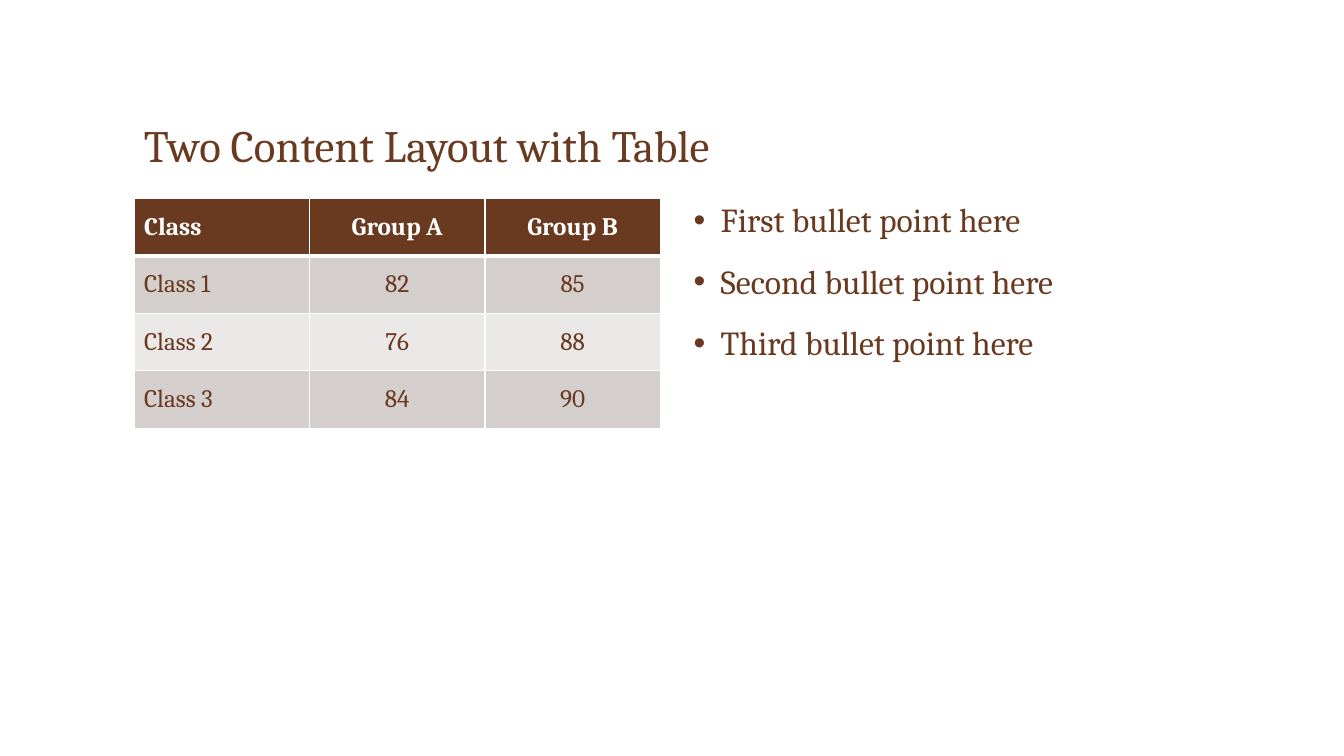
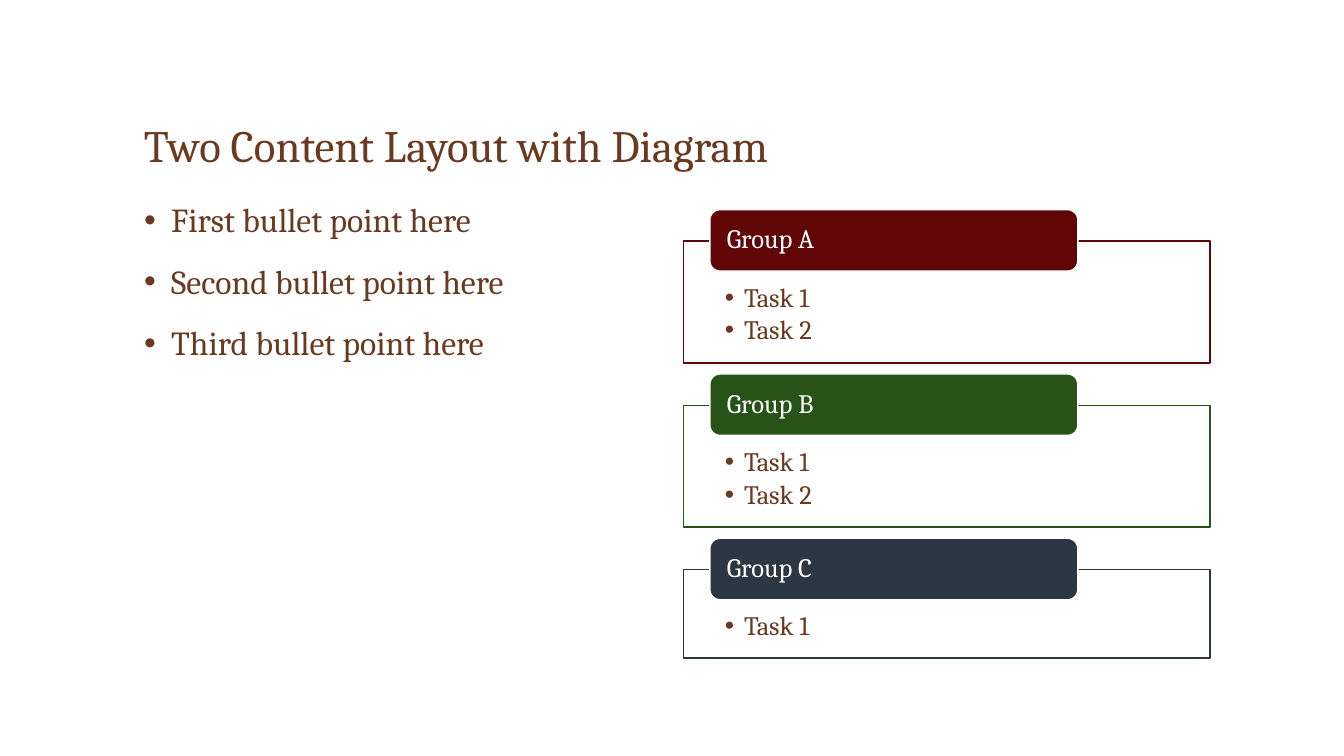
from dataclasses import dataclass

from lxml import etree
from pptx import Presentation
from pptx.dml.color import RGBColor
from pptx.enum.shapes import MSO_SHAPE
from pptx.enum.text import MSO_ANCHOR, PP_ALIGN
from pptx.oxml.ns import qn
from pptx.util import Inches, Pt


@dataclass(frozen=True)
class Theme:
    font: str = "Cambria"
    brown: str = "6A3A20"
    white: str = "FFFFFF"
    band_dark: str = "D4CECD"
    band_light: str = "EBE8E8"
    red: str = "610606"
    green: str = "275218"
    slate: str = "2B3742"
    title_size: int = 32
    bullet_size: int = 24
    table_size: int = 18
    diagram_size: int = 19


THEME = Theme()
LEFT, RIGHT, CONTENT_TOP = 1.33, 6.78, 1.97
COLUMN_WIDTH, CONTENT_HEIGHT = 5.22, 4.67
BULLETS = ("First bullet point here", "Second bullet point here", "Third bullet point here")
SCORES = (
    ("Class", "Group A", "Group B"),
    ("Class 1", "82", "85"),
    ("Class 2", "76", "88"),
    ("Class 3", "84", "90"),
)
GROUPS = (
    ("Group A", ("Task 1", "Task 2"), THEME.red),
    ("Group B", ("Task 1", "Task 2"), THEME.green),
    ("Group C", ("Task 1",), THEME.slate),
)


def add_run(paragraph, text, size, color, bold=False):
    run = paragraph.add_run()
    run.text = text
    run.font.name = THEME.font
    run.font.size = Pt(size)
    run.font.bold = bold
    run.font.color.rgb = RGBColor.from_string(color)


def add_color(parent, tag, color):
    """Append an XML element that holds one RGB colour."""
    holder = etree.SubElement(parent, qn(tag))
    return etree.SubElement(holder, qn("a:srgbClr"), val=color)


def set_bullet(paragraph, indent):
    properties = paragraph._p.get_or_add_pPr()
    properties.set("marL", str(Inches(indent)))
    properties.set("indent", str(-Inches(indent)))
    add_color(properties, "a:buClr", THEME.brown)
    etree.SubElement(properties, qn("a:buFont"), typeface="Arial")
    etree.SubElement(properties, qn("a:buChar"), char="•")


def write_bullets(frame, lines, size, indent, before=0, after=0):
    for index, line in enumerate(lines):
        paragraph = frame.add_paragraph() if index else frame.paragraphs[0]
        paragraph.alignment = PP_ALIGN.LEFT
        paragraph.line_spacing = 0.9
        paragraph.space_before = Pt(before)
        paragraph.space_after = Pt(after)
        set_bullet(paragraph, indent)
        add_run(paragraph, line, size, THEME.brown)


def add_text_frame(slide, left, top, width, height):
    box = slide.shapes.add_textbox(Inches(left), Inches(top), Inches(width), Inches(height))
    box.text_frame.word_wrap = True
    return box.text_frame


def add_titled_slide(deck, title):
    slide = deck.slides.add_slide(deck.slide_layouts[6])
    frame = add_text_frame(slide, LEFT, 0.47, 10.66, 1.28)
    frame.vertical_anchor = MSO_ANCHOR.BOTTOM
    add_run(frame.paragraphs[0], title, THEME.title_size, THEME.brown)
    return slide


def add_bullet_column(slide, left):
    frame = add_text_frame(slide, left, CONTENT_TOP, COLUMN_WIDTH, CONTENT_HEIGHT)
    write_bullets(frame, BULLETS, THEME.bullet_size, 0.27, before=18)


def set_borders(cell, top, bottom):
    """Draw white cell borders; top and bottom are widths in points."""
    properties = cell._tc.get_or_add_tcPr()
    for side, width in (("L", 1), ("R", 1), ("T", top), ("B", bottom)):
        line = etree.SubElement(properties, qn(f"a:ln{side}"), w=str(Pt(width)))
        add_color(line, "a:solidFill", THEME.white)


def add_score_table(slide):
    row_height = 0.57
    table = slide.shapes.add_table(
        len(SCORES), len(SCORES[0]), Inches(LEFT), Inches(CONTENT_TOP),
        Inches(COLUMN_WIDTH), Inches(row_height * len(SCORES))).table
    table.horz_banding = False
    for row, values in enumerate(SCORES):
        header = row == 0
        band = THEME.band_dark if row % 2 else THEME.band_light
        for column, value in enumerate(values):
            cell = table.cell(row, column)
            cell.vertical_anchor = MSO_ANCHOR.MIDDLE
            set_borders(cell, top=3 if row == 1 else 1, bottom=3 if header else 1)
            cell.fill.solid()
            cell.fill.fore_color.rgb = RGBColor.from_string(THEME.brown if header else band)
            paragraph = cell.text_frame.paragraphs[0]
            paragraph.alignment = PP_ALIGN.CENTER if column else PP_ALIGN.LEFT
            add_run(paragraph, value, THEME.table_size,
                    THEME.white if header else THEME.brown, bold=header)


def add_panel(group, preset, area, fill, line, insets, anchor):
    """Add a filled shape; area and insets are in inches, insets left, top, right, bottom."""
    panel = group.shapes.add_shape(preset, *map(Inches, area))
    panel.shadow.inherit = False
    panel.fill.solid()
    panel.fill.fore_color.rgb = RGBColor.from_string(fill)
    panel.line.color.rgb = RGBColor.from_string(line)
    panel.line.width = Pt(1)
    frame = panel.text_frame
    frame.word_wrap = True
    frame.vertical_anchor = anchor
    frame.margin_left, frame.margin_top, frame.margin_right, frame.margin_bottom = map(Inches, insets)
    return panel


def add_task_group(slide, top, height, name, tasks, color):
    group = slide.shapes.add_group_shape()
    task_box = add_panel(group, MSO_SHAPE.RECTANGLE, (RIGHT, top, COLUMN_WIDTH, height),
                         THEME.white, color, (0.41, 0.43, 0.41, 0.15), MSO_ANCHOR.TOP)
    fill_color = task_box._element.spPr.find(qn("a:solidFill"))[0]
    etree.SubElement(fill_color, qn("a:alpha"), val="90000")
    write_bullets(task_box.text_frame, tasks, THEME.diagram_size, 0.19,
                  after=THEME.diagram_size * 0.15)

    label = add_panel(group, MSO_SHAPE.ROUNDED_RECTANGLE, (RIGHT + 0.26, top - 0.31, 3.65, 0.61),
                      color, THEME.white, (0.14, 0, 0.14, 0), MSO_ANCHOR.MIDDLE)
    paragraph = label.text_frame.paragraphs[0]
    paragraph.alignment = PP_ALIGN.LEFT
    paragraph.line_spacing = 0.9
    add_run(paragraph, name, THEME.diagram_size, THEME.white)


def add_task_diagram(slide):
    top, gap = 2.39, 0.42
    for name, tasks, color in GROUPS:
        height = 0.55 + 0.33 * len(tasks)
        add_task_group(slide, top, height, name, tasks, color)
        top += height + gap


def main():
    deck = Presentation()
    deck.slide_width, deck.slide_height = Inches(13.33), Inches(7.5)

    table_slide = add_titled_slide(deck, "Two Content Layout with Table")
    add_score_table(table_slide)
    add_bullet_column(table_slide, RIGHT)

    diagram_slide = add_titled_slide(deck, "Two Content Layout with Diagram")
    add_bullet_column(diagram_slide, LEFT)
    add_task_diagram(diagram_slide)

    deck.save("out.pptx")


if __name__ == "__main__":
    main()
